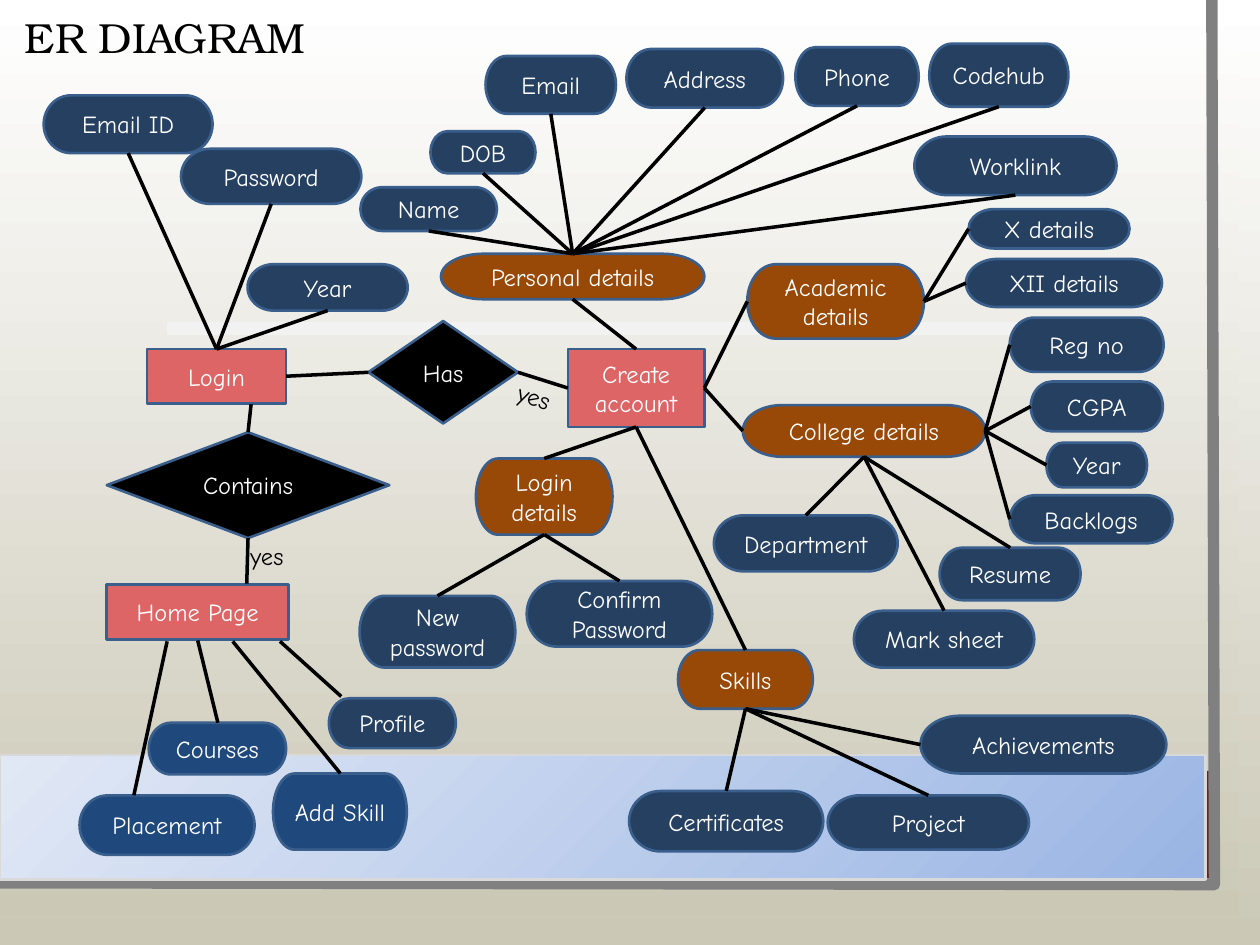
from lxml import etree
from pptx import Presentation
from pptx.dml.color import RGBColor
from pptx.enum.shapes import MSO_CONNECTOR, MSO_SHAPE
from pptx.enum.text import MSO_ANCHOR, PP_ALIGN
from pptx.oxml.ns import qn
from pptx.util import Pt

RECTANGLE = MSO_SHAPE.RECTANGLE
PROCESS = MSO_SHAPE.FLOWCHART_PROCESS
TERMINATOR = MSO_SHAPE.FLOWCHART_TERMINATOR
DECISION = MSO_SHAPE.FLOWCHART_DECISION
STRAIGHT = MSO_CONNECTOR.STRAIGHT
MIDDLE = MSO_ANCHOR.MIDDLE
LEFT_ALIGNED, CENTERED = PP_ALIGN.LEFT, PP_ALIGN.CENTER
TOP, LEFT, BOTTOM, RIGHT = range(4)

WHITE = RGBColor(0xFF, 0xFF, 0xFF)
BLACK = RGBColor(0, 0, 0)
SAND = RGBColor(0xCB, 0xC8, 0xB6)
GRAY = RGBColor(0x80, 0x80, 0x80)
SILVER = RGBColor(0xD9, 0xD9, 0xD9)
MIST = RGBColor(0xF2, 0xF2, 0xF2)
MAROON = RGBColor(0x63, 0x25, 0x23)
SKY = RGBColor(0x9A, 0xB5, 0xE4)
PALE_SKY = RGBColor(0xE1, 0xE8, 0xF5)
OUTLINE = RGBColor(0x3A, 0x5F, 0x8C)
CORAL = RGBColor(0xDD, 0x65, 0x65)
BROWN = RGBColor(0x98, 0x48, 0x07)
NAVY = RGBColor(0x25, 0x40, 0x61)
BLUE = RGBColor(0x1F, 0x49, 0x7D)

BODY_FONT, TITLE_FONT = "Comic Neue", "TeX Gyre Bonum"

# Label, box (left, top, width, height)
HUBS = {
    "login": ("Login", (84, 199.5, 79.5, 31), PROCESS, CORAL),
    "home": ("Home Page", (61, 334, 104, 31.5), PROCESS, CORAL),
    "account": ("Create account", (324.5, 199.5, 78, 44.5), PROCESS, CORAL),
    "contains": ("Contains", (61, 247, 161.5, 60.5), DECISION, BLACK),
    "has": ("Has", (210.5, 183.5, 85.5, 58.5), DECISION, BLACK),
    "personal": ("Personal details", (252, 145, 150.5, 26), TERMINATOR, BROWN),
    "academic": ("Academic details", (427, 151, 101, 42.5), TERMINATOR, BROWN),
    "college": ("College details", (424.5, 231.5, 138.5, 29.5), TERMINATOR, BROWN),
    "login details": ("Login\ndetails", (272, 262, 78, 43.5), TERMINATOR, BROWN),
    "skills": ("Skills", (387.5, 371.5, 77, 33.5), TERMINATOR, BROWN),
}

# Hub, side of the hub, side of the attributes, attributes
CLUSTERS = [
    ("login", TOP, BOTTOM, [
        ("Email ID", (25, 54.5, 96.5, 33)),
        ("Password", (103.5, 85, 103, 31.5)),
        ("Year", (141.5, 151, 91.5, 26.5))]),
    ("personal", TOP, BOTTOM, [
        ("Name", (206, 107, 78, 25)),
        ("DOB", (246, 75, 60, 24)),
        ("Email", (277.5, 32, 74.5, 33)),
        ("Address", (358, 28, 89.5, 33.5)),
        ("Phone", (454.5, 27, 70.5, 33.5)),
        ("Codehub", (531, 25, 79.5, 36)),
        ("Worklink", (522.5, 78, 115.5, 33.5))]),
    ("academic", RIGHT, LEFT, [
        ("X details", (553.5, 119.5, 92, 22.5)),
        ("XII details", (552, 148, 112, 27.5))]),
    ("college", RIGHT, LEFT, [
        ("Reg no", (577, 181.5, 88, 31)),
        ("CGPA", (589, 218, 75.5, 28.5)),
        ("Year", (598, 253, 57.5, 25.5)),
        ("Backlogs", (577, 283, 93, 27.5))]),
    ("college", BOTTOM, TOP, [
        ("Department", (408, 294.5, 105, 32)),
        ("Resume", (537, 313, 80.5, 30)),
        ("Mark sheet", (488, 349, 103, 32.5))]),
    ("login details", BOTTOM, TOP, [
        ("New\npassword", (205.5, 340.5, 89, 41)),
        ("Confirm\nPassword", (301, 332, 106, 37.5))]),
    ("skills", BOTTOM, TOP, [
        ("Certificates", (359.5, 452, 111, 34.5)),
        ("Project", (473, 454.5, 115, 31))]),
    ("skills", BOTTOM, LEFT, [
        ("Achievements", (526, 409, 140.5, 33))]),
]

# Label, box, fill, where its line leaves the home page, where it arrives
HOME_LINKS = [
    ("Placement", (45.5, 454.5, 100, 34), BLUE, (95.5, 366.5), (76.5, 454.5)),
    ("Courses", (85, 413, 78.5, 29.5), BLUE, (113, 366), (124.5, 413)),
    ("Add Skill", (156, 442, 76.5, 43.5), BLUE, (133, 366.5), (194.5, 442)),
    ("Profile", (188, 399, 72.5, 28.5), NAVY, (160, 366.5), (195, 398)),
]

HUB_LINKS = [
    ("login", RIGHT, "has", LEFT),
    ("has", RIGHT, "account", LEFT),
    ("account", TOP, "personal", BOTTOM),
    ("account", RIGHT, "academic", LEFT),
    ("account", RIGHT, "college", LEFT),
    ("account", BOTTOM, "login details", TOP),
    ("account", BOTTOM, "skills", TOP),
]


def add_text(frame, text, font_name, size, color, alignment):
    frame.word_wrap = True
    for index, line in enumerate(text.split("\n")):
        paragraph = frame.add_paragraph() if index else frame.paragraphs[0]
        paragraph.alignment = alignment
        run = paragraph.add_run()
        run.text = line
        run.font.name = font_name
        run.font.size = Pt(size)
        run.font.color.rgb = color


def add_block(slide, kind, box, fill=None, line=None):
    shape = slide.shapes.add_shape(kind, *map(Pt, box))
    shape.shadow.inherit = False
    if fill is not None:
        shape.fill.solid()
        shape.fill.fore_color.rgb = fill
    if line is None:
        shape.line.fill.background()
    else:
        shape.line.color.rgb = line
        shape.line.width = Pt(1.5)
    return shape


def set_gradient(fill, first, last):
    """Fill from the top down."""
    fill.gradient()
    fill.gradient_angle = 270
    for stop, color in zip(fill.gradient_stops, (first, last)):
        stop.color.rgb = color


def radiate_from_bottom_right(shape):
    linear = shape.element.spPr.find(".//" + qn("a:lin"))
    path = etree.Element(qn("a:path"), path="circle")
    etree.SubElement(path, qn("a:fillToRect"), l="100000", t="100000")
    linear.getparent().replace(linear, path)


def add_node(slide, label, box, kind=TERMINATOR, fill=NAVY):
    shape = add_block(slide, kind, box, fill, OUTLINE)
    shape.text_frame.vertical_anchor = MIDDLE
    add_text(shape.text_frame, label, BODY_FONT, 14, WHITE, CENTERED)
    return shape


def add_line(slide, start=(0, 0), end=(0, 0)):
    connector = slide.shapes.add_connector(STRAIGHT, *map(Pt, start + end))
    connector.line.color.rgb = BLACK
    connector.line.width = Pt(2)
    etree.SubElement(connector.element.spPr, qn("a:effectLst"))
    return connector


def join(slide, first, first_side, second, second_side):
    connector = add_line(slide)
    connector.begin_connect(first, first_side)
    connector.end_connect(second, second_side)
    return connector


def add_backdrop(slide, width, height):
    set_gradient(slide.background.fill, WHITE, SAND)
    page = add_block(slide, RECTANGLE, (0, 0, width - 12, height - 16.5))
    set_gradient(page.fill, WHITE, SAND)
    add_block(slide, RECTANGLE, (0, 440.5, 691, 61.5), MAROON)

    builder = slide.shapes.build_freeform(Pt(692.5), 0)
    builder.add_line_segments([(Pt(694), Pt(505.5)), (Pt(-1.5), Pt(504.5))], close=False)
    frame = builder.convert_to_shape()
    frame.shadow.inherit = False
    frame.fill.background()
    frame.line.color.rgb = GRAY
    frame.line.width = Pt(6.5)

    band = add_block(slide, RECTANGLE, (0, 431.5, 689, 71), line=SILVER)
    set_gradient(band.fill, SKY, PALE_SKY)
    radiate_from_bottom_right(band)
    add_block(slide, RECTANGLE, (96, 185, 544, 6), MIST, MIST)


def add_title(slide, box):
    title = slide.shapes.title
    title.left, title.top, title.width, title.height = map(Pt, box)
    title.text_frame.vertical_anchor = MIDDLE
    add_text(title.text_frame, "ER DIAGRAM", TITLE_FONT, 24, BLACK, LEFT_ALIGNED)
    title.text_frame.paragraphs[0].line_spacing = 0.9
    title.element.getparent().append(title.element)  # in front of the backdrop


def add_answer(slide, box, rotation=0):
    answer = slide.shapes.add_textbox(*map(Pt, box))
    answer.rotation = rotation
    add_text(answer.text_frame, "yes", BODY_FONT, 14, BLACK, LEFT_ALIGNED)


def add_diagram(slide):
    hubs = {name: add_node(slide, *hub) for name, hub in HUBS.items()}
    for name, hub_side, attribute_side, attributes in CLUSTERS:
        for label, box in attributes:
            attribute = add_node(slide, label, box)
            join(slide, hubs[name], hub_side, attribute, attribute_side)
    for label, box, fill, start, end in HOME_LINKS:
        add_node(slide, label, box, fill=fill)
        add_line(slide, start, end)
    for first, first_side, second, second_side in HUB_LINKS:
        join(slide, hubs[first], first_side, hubs[second], second_side)
    for side, outer_end in ((TOP, (143.5, 231)), (BOTTOM, (141, 333.5))):
        add_line(slide, end=outer_end).begin_connect(hubs["contains"], side)
    add_answer(slide, (288.5, 216, 41, 24.5), 20.1)
    add_answer(slide, (136, 305.5, 42, 24.5))


def main():
    presentation = Presentation()
    presentation.slide_width, presentation.slide_height = Pt(720), Pt(540)
    slide = presentation.slides.add_slide(presentation.slide_layouts[5])
    add_backdrop(slide, 720, 540)
    add_title(slide, (7, 7, 615, 31))
    add_diagram(slide)
    presentation.save("out.pptx")


if __name__ == "__main__":
    main()
